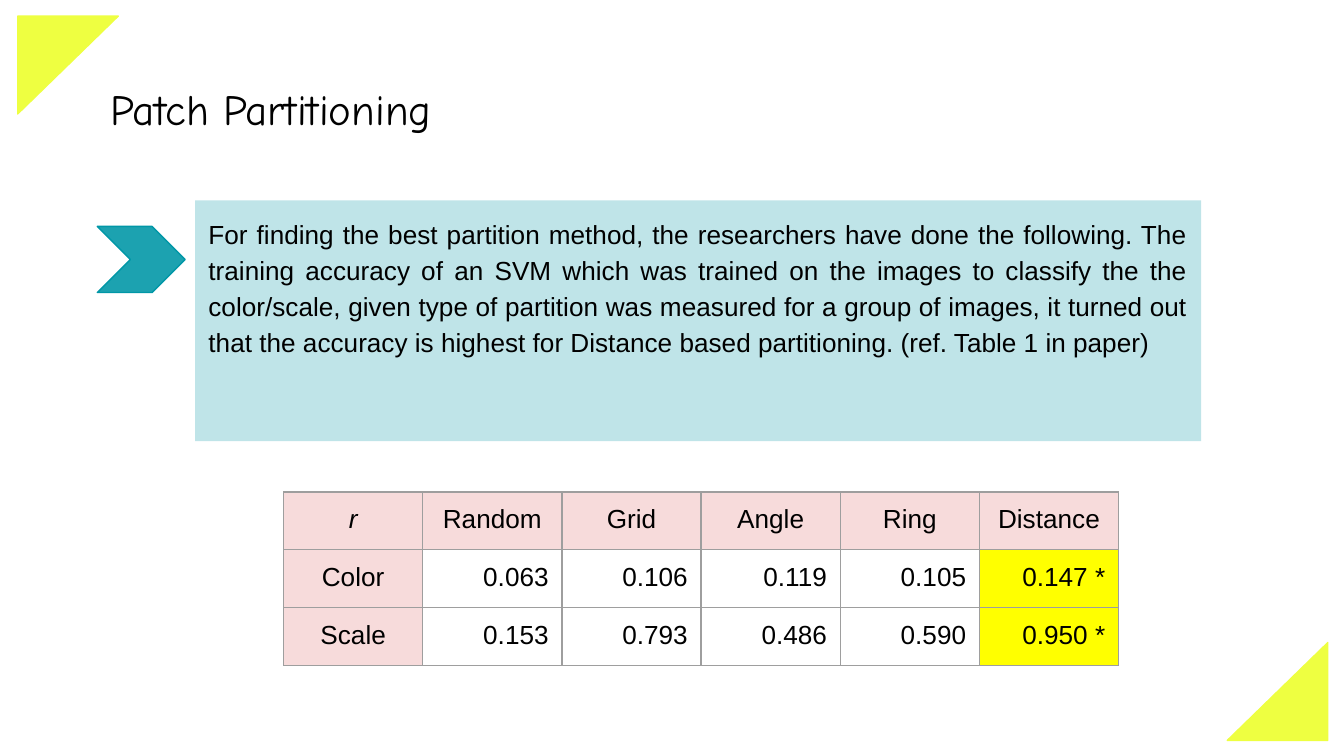
from dataclasses import dataclass

from lxml import etree
from pptx import Presentation
from pptx.dml.color import RGBColor
from pptx.enum.shapes import MSO_SHAPE
from pptx.enum.text import MSO_ANCHOR, PP_ALIGN
from pptx.oxml import parse_xml
from pptx.oxml.ns import nsdecls, qn
from pptx.util import Cm, Pt

RECTANGLE, CHEVRON, TRIANGLE = MSO_SHAPE.RECTANGLE, MSO_SHAPE.CHEVRON, MSO_SHAPE.RIGHT_TRIANGLE
TOP, MIDDLE = MSO_ANCHOR.TOP, MSO_ANCHOR.MIDDLE
CENTER, RIGHT, JUSTIFY = PP_ALIGN.CENTER, PP_ALIGN.RIGHT, PP_ALIGN.JUSTIFY


@dataclass(frozen=True)
class Theme:
    text: str = "000000"
    teal: str = "0097A7"
    lime: str = "EEFF41"
    pink: str = "EA9999"
    highlight: str = "FFFF00"
    grid: str = "9E9E9E"
    title_font: str = "Comic Neue"
    body_font: str = "Arial"
    title_size: int = 23
    body_size: int = 14
    line_width: float = 0.75


theme = Theme()
INSET = Cm(0.25)


def paint(fill, color, opacity=100):
    """Fill with a colour; opacity is in percent."""
    fill.solid()
    fill.fore_color.rgb = RGBColor.from_string(color)
    if opacity < 100:
        srgb = fill._xPr.find(qn("a:solidFill")).find(qn("a:srgbClr"))
        etree.SubElement(srgb, qn("a:alpha")).set("val", str(opacity * 1000))


def write(frame, text, align=None, font=theme.body_font, size=theme.body_size):
    frame.word_wrap = True
    paragraph = frame.paragraphs[0]
    paragraph.text = text
    paragraph.alignment = align
    paragraph.font.name = font
    paragraph.font.size = Pt(size)
    paragraph.font.color.rgb = RGBColor.from_string(theme.text)
    return paragraph


prs = Presentation()
prs.slide_width, prs.slide_height = Cm(25.4), Cm(14.29)
slide = prs.slides.add_slide(prs.slide_layouts[6])
shapes = slide.shapes

title = shapes.add_textbox(Cm(1.83), Cm(1.24), Cm(7.95), Cm(1.6)).text_frame
title.vertical_anchor = MIDDLE
write(title, "Patch Partitioning", font=theme.title_font, size=theme.title_size)

finding = shapes.add_shape(RECTANGLE, Cm(3.69), Cm(3.79), Cm(19.01), Cm(4.55))
finding.shadow.inherit = False
finding.line.fill.background()
paint(finding.fill, theme.teal, 25)
finding_text = finding.text_frame
finding_text.vertical_anchor = TOP
finding_text.margin_left = finding_text.margin_right = INSET
finding_text.margin_top = finding_text.margin_bottom = INSET
explanation = write(
    finding_text,
    "For finding the best partition method, the researchers have done the following. "
    "The training accuracy of an SVM which was trained on the images to classify the the "
    "color/scale, given type of partition was measured for a group of images, it turned out "
    "that the accuracy is highest for Distance based partitioning. (ref. Table 1 in paper)",
    JUSTIFY,
)
explanation.line_spacing = 1.15
explanation.space_after = Pt(5)

# Corner triangles and the pointer: preset, left, top, width, height, rotation, colour, opacity
ornaments = [
    (TRIANGLE, 0.36, 0.28, 1.85, 1.9, 90, theme.lime, 100),
    (TRIANGLE, 23.22, 12.12, 1.85, 1.9, 270, theme.lime, 100),
    (CHEVRON, 1.84, 4.28, 1.66, 1.25, 0, theme.teal, 89),
]
for preset, left, top, width, height, rotation, color, opacity in ornaments:
    ornament = shapes.add_shape(preset, Cm(left), Cm(top), Cm(width), Cm(height))
    ornament.shadow.inherit = False
    ornament.rotation = rotation
    paint(ornament.fill, color, opacity)
    ornament.line.color.rgb = RGBColor.from_string(color)
    ornament.line.width = Pt(theme.line_width)

accuracies = [
    ["r", "Random", "Grid", "Angle", "Ring", "Distance"],
    ["Color", "0.063", "0.106", "0.119", "0.105", "0.147 *"],
    ["Scale", "0.153", "0.793", "0.486", "0.590", "0.950 *"],
]
row_count, column_count = len(accuracies), len(accuracies[0])
column_width, row_height = Cm(2.63), Cm(1.07)
table = shapes.add_table(
    row_count, column_count, Cm(5.36), Cm(9.3),
    column_width * column_count, row_height * row_count,
).table
table.first_row = table.horz_banding = False
for column in table.columns:
    column.width = column_width
for row in table.rows:
    row.height = row_height

for r, values in enumerate(accuracies):
    for c, value in enumerate(values):
        cell = table.cell(r, c)
        is_header = r == 0 or c == 0
        entry = write(cell.text_frame, value, CENTER if is_header else RIGHT)
        if r == c == 0:
            entry.font.italic = True
        cell.margin_left = cell.margin_right = INSET
        cell.margin_top = cell.margin_bottom = INSET
        if is_header:
            paint(cell.fill, theme.pink, 35)
        elif c == column_count - 1:
            paint(cell.fill, theme.highlight)
        else:
            cell.fill.background()
        properties = cell._tc.get_or_add_tcPr()
        for position, side in enumerate(("lnL", "lnR", "lnT", "lnB")):
            properties.insert(position, parse_xml(
                f'<a:{side} {nsdecls("a")} w="{Pt(theme.line_width)}"><a:solidFill>'
                f'<a:srgbClr val="{theme.grid}"/></a:solidFill></a:{side}>'
            ))

prs.save("out.pptx")
